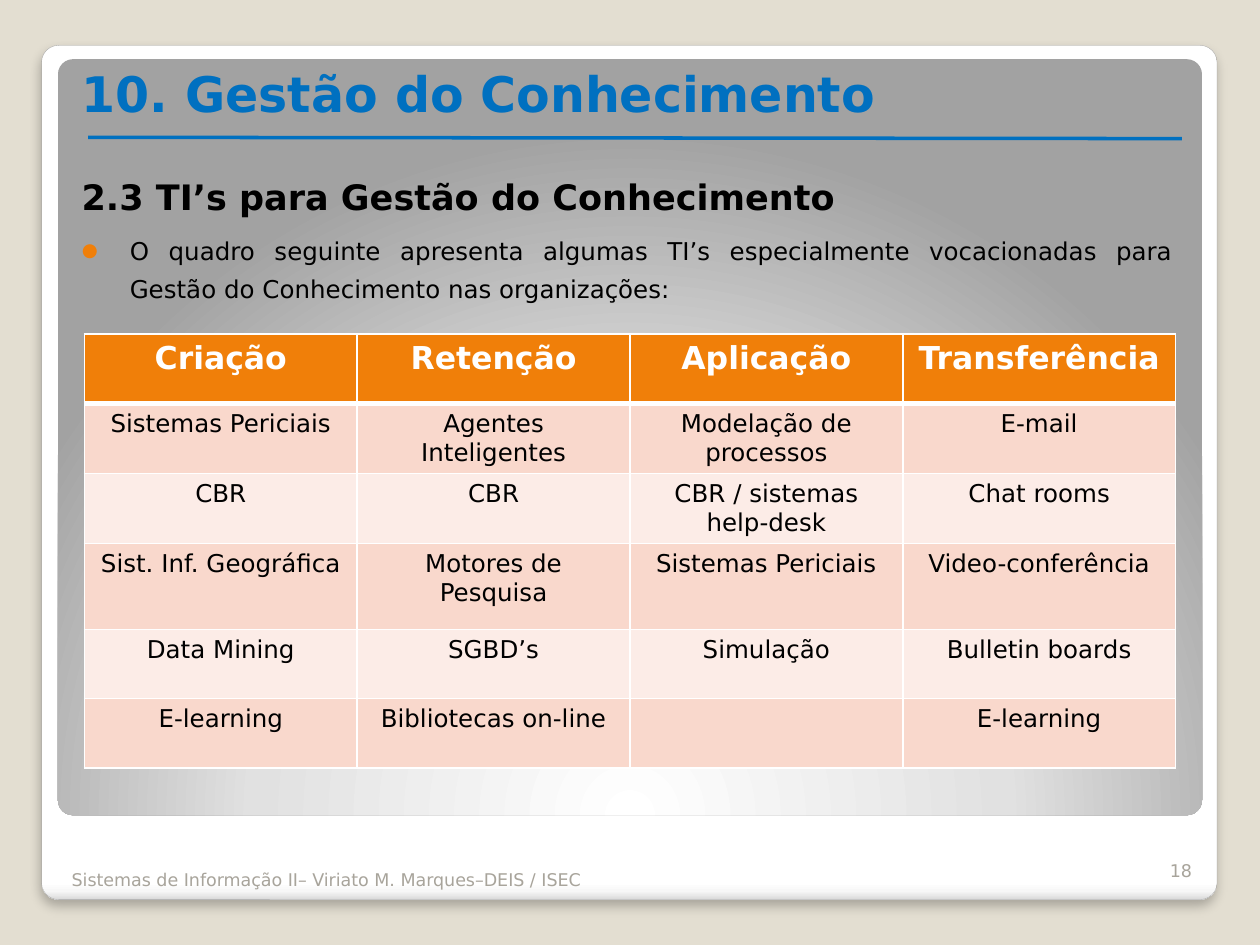
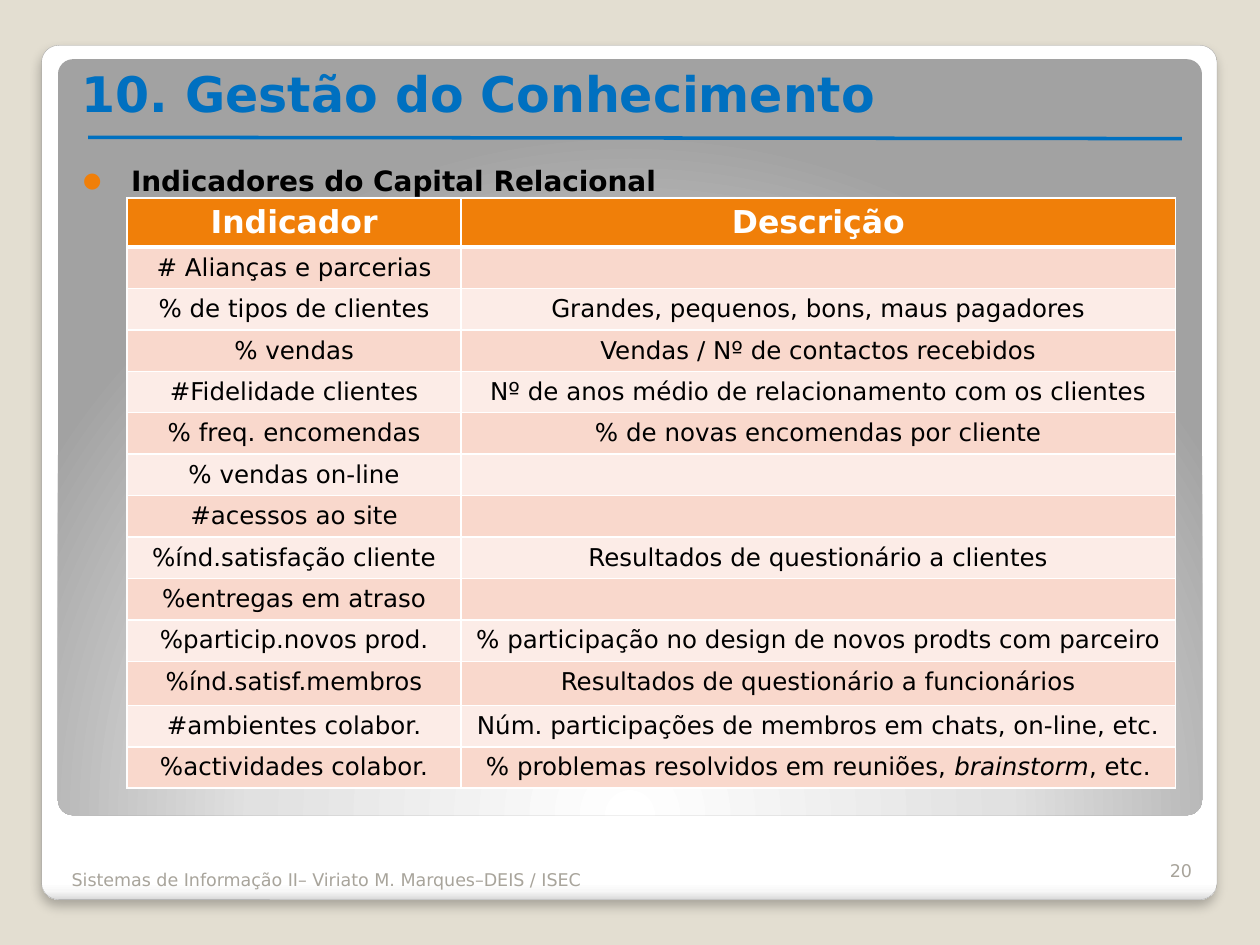
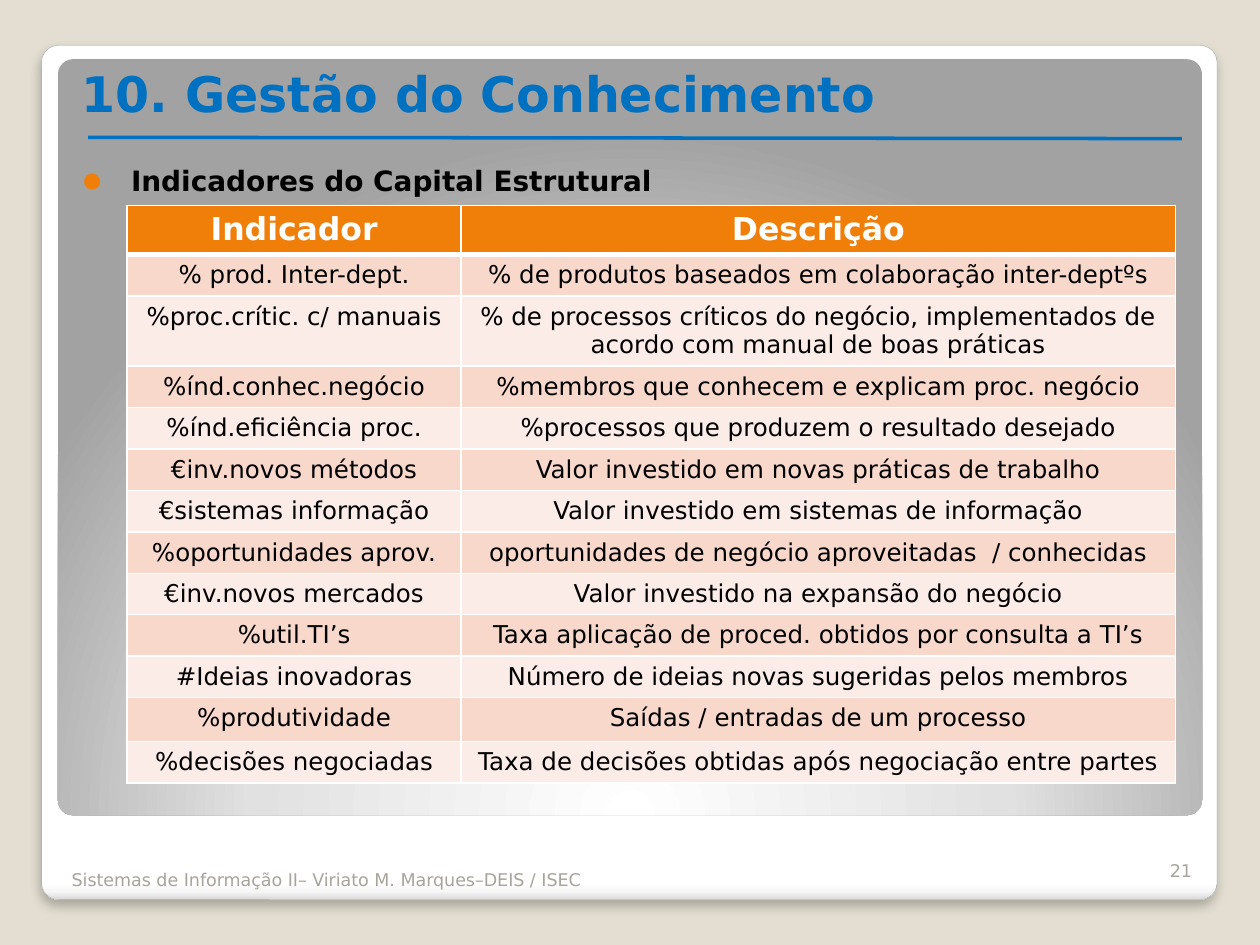
from lxml.etree import SubElement
from pptx import Presentation
from pptx.dml.color import RGBColor
from pptx.enum.shapes import MSO_CONNECTOR, MSO_SHAPE
from pptx.enum.text import MSO_ANCHOR, MSO_AUTO_SIZE, PP_ALIGN
from pptx.oxml.ns import qn
from pptx.util import Inches, Pt

COLUMNS, ROWS = 100, 75
FONT = "DejaVu Sans"
COLORS = {
    "backdrop": "E3DED1", "edge": "A4A4A4", "shadow": "000000",
    "blue": "0070C0", "orange": "F07F09", "black": "000000",
    "white": "FFFFFF", "muted": "A8A49B",
    "odd row": "F9D8CC", "even row": "FCECE7",
}
CARD_STOPS = [(0, "FFFFFF"), (98, "FFFFFF"), (99, "F7F7F7"), (100, "DADADA")]
PANEL_STOPS = [(0, "FFFFFF"), (55, "E1E1E1"), (100, "A2A2A2")]
TITLE = "10. Gestão do Conhecimento"
FOOTER = "Sistemas de Informação II– Viriato M. Marques–DEIS / ISEC"

TECHNOLOGIES = [
    ("Criação", "Retenção", "Aplicação", "Transferência"),
    ("Sistemas Periciais", "Agentes Inteligentes", "Modelação de processos", "E-mail"),
    ("CBR", "CBR", "CBR / sistemas help-desk", "Chat rooms"),
    ("Sist. Inf. Geográfica", "Motores de Pesquisa", "Sistemas Periciais",
     "Video-conferência"),
    ("Data Mining", "SGBD’s", "Simulação", "Bulletin boards"),
    ("E-learning", "Bibliotecas on-line", "", "E-learning"),
]
INDICATOR_HEADER = ("Indicador", "Descrição")
RELATIONAL = [
    INDICATOR_HEADER,
    ("# Alianças e parcerias", ""),
    ("% de tipos de clientes", "Grandes, pequenos, bons, maus pagadores"),
    ("% vendas", "Vendas / Nº de contactos recebidos"),
    ("#Fidelidade clientes", "Nº de anos médio de relacionamento com os clientes"),
    ("% freq. encomendas", "% de novas encomendas por cliente"),
    ("% vendas on-line", ""),
    ("#acessos ao site", ""),
    ("%índ.satisfação cliente", "Resultados de questionário a clientes"),
    ("%entregas em atraso", ""),
    ("%particip.novos prod.", "% participação no design de novos prodts com parceiro"),
    ("%índ.satisf.membros", "Resultados de questionário a funcionários"),
    ("#ambientes colabor.", "Núm. participações de membros em chats, on-line, etc."),
    ("%actividades colabor.", "% problemas resolvidos em reuniões, *brainstorm*, etc."),
]
STRUCTURAL = [
    INDICATOR_HEADER,
    ("% prod. Inter-dept.", "% de produtos baseados em colaboração inter-deptºs"),
    ("%proc.crític. c/ manuais",
     "% de processos críticos do negócio, implementados de acordo com manual de boas práticas"),
    ("%índ.conhec.negócio", "%membros que conhecem e explicam proc. negócio"),
    ("%índ.eficiência proc.", "%processos que produzem o resultado desejado"),
    ("€inv.novos métodos", "Valor investido em novas práticas de trabalho"),
    ("€sistemas informação", "Valor investido em sistemas de informação"),
    ("%oportunidades aprov.", "oportunidades de negócio aproveitadas  / conhecidas"),
    ("€inv.novos mercados", "Valor investido na expansão do negócio"),
    ("%util.TI’s", "Taxa aplicação de proced. obtidos por consulta a TI’s"),
    ("#Ideias inovadoras", "Número de ideias novas sugeridas pelos membros"),
    ("%produtividade", "Saídas / entradas de um processo"),
    ("%decisões negociadas", "Taxa de decisões obtidas após negociação entre partes"),
]


def color(name):
    return RGBColor.from_string(COLORS[name])


def add_color(parent, value):
    return SubElement(parent, qn("a:srgbClr"), val=value)


class Lecture:
    """Holds the deck, its grid and style, and the slide being filled."""

    def __init__(self):
        self.deck = Presentation()
        self.deck.slide_width, self.deck.slide_height = Inches(10), Inches(7.5)
        self.page = None
        fill = self.deck.slide_master.background.fill
        fill.solid()
        fill.fore_color.rgb = color("backdrop")

    def across(self, columns):
        return round(self.deck.slide_width * columns / COLUMNS)

    def down(self, rows):
        return round(self.deck.slide_height * rows / ROWS)

    def area(self, left, top, width, height):
        return self.across(left), self.down(top), self.across(width), self.down(height)

    def start(self, number):
        """Begin a slide with the title, rule, footer and number all slides share."""
        first = self.page is None
        self.page = self.deck.slides.add_slide(self.deck.slide_layouts[1])
        if first:
            self.backdrop()
        self.rule(7, 10.9, 93.8, 11)
        title = self.place(self.page.shapes.title, (5.5, 4.7, 87.3, 5.5), MSO_ANCHOR.BOTTOM)
        self.set_text(title, TITLE, 28, "blue", bold=True)
        self.label(FOOTER, (4.7, 67.1, 46.9, 4), 10, "muted", anchor=MSO_ANCHOR.BOTTOM)
        self.label(str(number), (90.6, 66.4, 5, 4), 10, "muted",
                   anchor=MSO_ANCHOR.BOTTOM, align=PP_ALIGN.RIGHT)

    def backdrop(self):
        """Put the white card and the grey panel on the master, behind everything."""
        card = self.rounded((3.3, 3.6, 93.3, 67.8), CARD_STOPS)
        card.line.color.rgb = color("edge")
        card.line.width = Pt(0.16)
        effects = card._element.spPr.find(qn("a:effectLst"))
        shadow = SubElement(effects, qn("a:outerShdw"), blurRad=str(Pt(6)),
                            dist=str(Pt(4)), dir="5400000", algn="t", rotWithShape="0")
        SubElement(add_color(shadow, COLORS["shadow"]), qn("a:alpha"), val="25000")
        panel = self.rounded((4.6, 4.7, 90.8, 60), PANEL_STOPS, radial=True)
        panel.line.fill.background()
        for order, shape in enumerate((card, panel)):
            shape._element.nvSpPr.cNvPr.id = 20 + order
            self.deck.slide_master.shapes._spTree.insert(2 + order, shape._element)

    def rounded(self, area, stops, radial=False):
        """Rounded rectangle with a gradient, vertical or spreading from below."""
        shape = self.page.shapes.add_shape(MSO_SHAPE.ROUNDED_RECTANGLE, *self.area(*area))
        shape.adjustments[0] = 0.02
        shape.shadow.inherit = False
        shape.fill.gradient()
        gradient = shape._element.spPr.find(qn("a:gradFill"))
        gradient.clear()
        stop_list = SubElement(gradient, qn("a:gsLst"))
        for share, value in stops:
            add_color(SubElement(stop_list, qn("a:gs"), pos=str(share * 1000)), value)
        if radial:
            circle = SubElement(gradient, qn("a:path"), path="circle")
            SubElement(circle, qn("a:fillToRect"), l="50000", t="175000", r="50000", b="-75000")
        else:
            SubElement(gradient, qn("a:lin"), ang="5400000", scaled="0")
        return shape

    def rule(self, left, top, right, bottom):
        line = self.page.shapes.add_connector(
            MSO_CONNECTOR.STRAIGHT, self.across(left), self.down(top),
            self.across(right), self.down(bottom))
        line.line.color.rgb = color("blue")
        line.line.width = Pt(2)
        SubElement(line._element.spPr, qn("a:effectLst"))

    def place(self, box, area, anchor=MSO_ANCHOR.TOP):
        box.left, box.top, box.width, box.height = self.area(*area)
        frame = box.text_frame
        frame.word_wrap = True
        frame.auto_size = MSO_AUTO_SIZE.NONE
        frame.vertical_anchor = anchor
        return frame

    def set_text(self, frame, text, size, ink, bold=False, align=PP_ALIGN.LEFT):
        """Fill the first paragraph; words between asterisks become italic."""
        para = frame.paragraphs[0]
        para.alignment = align
        font = para.font
        font.name, font.size, font.bold = FONT, Pt(size), bold
        font.color.rgb = color(ink)
        for index, part in enumerate(text.split("*") if text else []):
            span = para.add_run()
            span.text = part
            if index % 2:
                span.font.italic = True
        if not text:
            SubElement(para._p, qn("a:endParaRPr"), sz=str(size * 100))
        return para

    def label(self, text, area, size, ink, anchor=MSO_ANCHOR.TOP, **style):
        box = self.page.shapes.add_textbox(*self.area(*area))
        return self.set_text(self.place(box, area, anchor), text, size, ink, **style)

    def heading(self, text, area):
        para = self.label(text, area, 20, "black", bold=True, align=PP_ALIGN.JUSTIFY)
        para.line_spacing, para.space_before = 1.2, Pt(4)

    def bullet(self, text, area, size, bold=False):
        frame = self.place(self.page.placeholders[1], area)
        para = frame.paragraphs[0]
        para.line_spacing, para.space_before = 1.3, Pt(4)
        props = para._p.get_or_add_pPr()
        props.set("marL", str(self.across(3.8)))
        props.set("indent", str(-self.across(3.8)))
        add_color(SubElement(props, qn("a:buClr")), COLORS["orange"])
        SubElement(props, qn("a:buSzPct"), val="75000")
        SubElement(props, qn("a:buFont"), typeface=FONT)
        SubElement(props, qn("a:buChar"), char="●")
        self.set_text(frame, text, size, "black", bold, PP_ALIGN.JUSTIFY)

    def table(self, left, top, widths, heights, content):
        area = self.area(left, top, sum(widths), sum(heights))
        table = self.page.shapes.add_table(len(heights), len(widths), *area).table
        table.horz_banding = False
        for column, width in zip(table.columns, widths):
            column.width = self.across(width)
        for index, (row, height, texts) in enumerate(zip(table.rows, heights, content)):
            row.height = self.down(height)
            for cell, text in zip(row.cells, texts):
                self.fill_cell(cell, text, index)

    def fill_cell(self, cell, text, row):
        header = row == 0
        self.set_text(cell.text_frame, text, 18 if header else 14,
                      "white" if header else "black", header, PP_ALIGN.CENTER)
        props = cell._tc.get_or_add_tcPr()
        thick_side = {0: "lnB", 1: "lnT"}.get(row)
        for side in ("lnL", "lnR", "lnT", "lnB"):
            width = Pt(3 if side == thick_side else 1)
            border = SubElement(props, qn(f"a:{side}"), w=str(width))
            add_color(SubElement(border, qn("a:solidFill")), COLORS["white"])
        cell.fill.solid()
        band = "odd row" if row % 2 else "even row"
        cell.fill.fore_color.rgb = color("orange" if header else band)

    def indicators(self, number, capital, top, content):
        """Slide with a bold bullet and a two-column table of indicators."""
        self.start(number)
        self.bullet(f"Indicadores do Capital {capital}", (5.6, 11.7, 88.3, 4.3), 16, bold=True)
        heights = [3.8] + [3.2] * (len(content) - 1)
        heights[11] = 3.5
        self.table(10.1, top, [26.5, 56.7], heights, content)


def main():
    lecture = Lecture()
    lecture.start(18)
    lecture.heading("2.3 TI’s para Gestão do Conhecimento", (5.5, 12.8, 88.3, 4.6))
    lecture.bullet("O quadro seguinte apresenta algumas TI’s especialmente vocacionadas "
                   "para Gestão do Conhecimento nas organizações:", (5.5, 17.5, 88.6, 6.8), 14)
    lecture.table(6.7, 26.5, [21.65] * 4, [5.5, 5.5, 5.5, 6.8, 5.5, 5.5], TECHNOLOGIES)
    lecture.indicators(20, "Relacional", 15.7, RELATIONAL)
    lecture.indicators(21, "Estrutural", 16.3, STRUCTURAL)
    lecture.deck.save("out.pptx")


if __name__ == "__main__":
    main()
